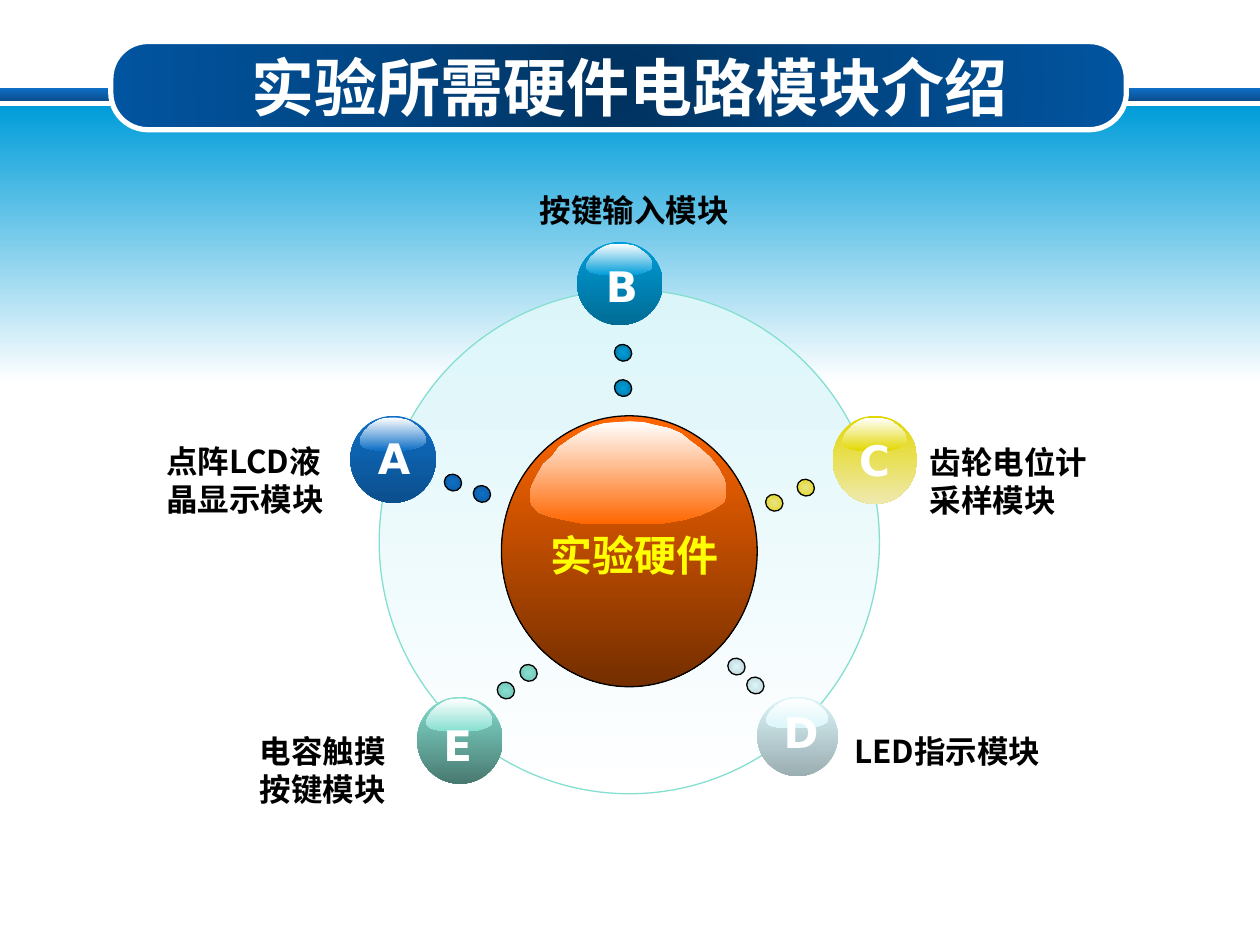
from copy import deepcopy

from lxml import etree
from pptx import Presentation
from pptx import util as u
from pptx.dml.color import RGBColor
from pptx.enum import shapes, text
from pptx.oxml.ns import qn

presentation = Presentation()
presentation.slide_width, presentation.slide_height = u.Inches(10), u.Inches(7.5)
slide = presentation.slides.add_slide(presentation.slide_layouts[6])
cell = presentation.slide_width / 100  # grid of 100 columns by 75 rows
CJK = "Noto Sans CJK JP"


def paint(shape, colours, path=None, line=None, width=0.75):
    """Gradient from top to bottom, or from the centre when a path is given."""
    shape.shadow.inherit = False
    shape.fill.gradient()
    shape.fill.gradient_angle = 270
    gradient = shape._element.spPr.find(qn("a:gradFill"))
    stop_list = gradient.find(qn("a:gsLst"))
    while len(stop_list) < len(colours):
        stop_list.insert(1, deepcopy(stop_list[0]))
    for index, stop in enumerate(shape.fill.gradient_stops):
        stop.color.rgb = RGBColor.from_string(colours[index])
        stop.position = index / (len(colours) - 1)
    if path:
        centre = etree.Element(qn("a:path"), path=path)
        etree.SubElement(centre, qn("a:fillToRect"), dict.fromkeys("ltrb", "50000"))
        gradient.replace(gradient.find(qn("a:lin")), centre)
    if line:
        shape.line.color.rgb = RGBColor.from_string(line)
        shape.line.width = u.Pt(width)
    else:
        shape.line.fill.background()


def add_text(words, at, size=18, font=CJK, colour="000000", align="LEFT", wrap=True,
             anchor="TOP", grow=True):
    box = slide.shapes.add_textbox(*(round(cell * value) for value in at))
    frame = box.text_frame
    frame.word_wrap = wrap
    frame.vertical_anchor = text.MSO_ANCHOR[anchor]
    frame.auto_size = text.MSO_AUTO_SIZE.SHAPE_TO_FIT_TEXT if grow else text.MSO_AUTO_SIZE.NONE
    paragraph = frame.paragraphs[0]
    paragraph.alignment = text.PP_ALIGN[align]
    run = paragraph.add_run()
    run.text = words
    run.font.size, run.font.bold, run.font.name = u.Pt(size), True, font
    run.font.color.rgb = RGBColor.from_string(colour)
    etree.SubElement(run._r.get_or_add_rPr(), qn("a:ea"), typeface=CJK)


# Header bands, title plate and large ring
backdrop = [
    ("RECTANGLE", (0, 7, 100, 1), ["0F6FC6", "0B4F8E"], {}),
    ("RECTANGLE", (0, 8.4, 100, 22), ["009DD9", "FFFFFF"], {}),
    ("ROUNDED_RECTANGLE", (8.8, 3.3, 80.6, 7), ["01325E", "014786", "01549F"],
     {"path": "circle", "line": "FFFFFF", "width": 3}),
    ("OVAL", (30.1, 23, 39.7, 40), ["DBF5F9", "FFFFFF"], {"line": "85DFD0"}),
]
for kind, at, colours, style in backdrop:
    shape = slide.shapes.add_shape(shapes.MSO_SHAPE[kind], *(round(cell * value) for value in at))
    if kind == "ROUNDED_RECTANGLE":
        shape.adjustments[0] = 0.42
    paint(shape, colours, **style)
add_text("实验所需硬件电路模块介绍", (5, 3, 90, 7.7), size=36, font="Calibri", colour="FFFFFF",
         align="CENTER", anchor="MIDDLE", grow=False)

# Glossy spheres: the highlight outline is in percent of its own box
highlight = [
    (99, 57), (100, 68), (99, 78), (94, 85), (87, 91), (78, 96), (68, 99), (60, 100),
    (36, 100), (26, 99), (18, 96), (11, 93), (5, 89), (1, 81), (0, 74), (1, 63), (4, 52),
    (7, 42), (12, 33), (15, 25), (21, 17), (26, 11), (31, 6), (38, 2), (44, 1), (51, 0),
    (58, 1), (64, 4), (71, 7), (77, 12), (82, 20), (87, 27), (92, 36), (96, 46),
]
spheres = [
    ("实验硬件", (39.8, 33, 20.3, 21.5), ["FF6600", "742E00"], "000000", (42.7, 41.5, 15.6, 5.1)),
    ("B", (45.8, 19.2, 6.8, 6.6), ["009DD9", "006C95"], None, (47.1, 20.2, 4.5, 5)),
    ("E", (33.1, 55.3, 6.8, 6.9), ["85DFD0", "487970"], None, (34.2, 56.6, 4.3, 5)),
    ("C", (66.1, 33, 6.7, 7), ["E2D700", "EFE9B0"], None, (67.2, 34, 4.4, 5)),
    ("D", (60.1, 55.3, 6.4, 6.3), ["DBF5F9", "9BAEB1"], None, (61.2, 55.6, 4.8, 5)),
    ("A", (27.8, 33, 6.8, 6.9), ["0F6FC6", "0B4F8D"], None, (29, 33.8, 4.6, 5)),
]
for words, at, colours, line, words_at in spheres:
    left, top, width, height = at
    sphere = slide.shapes.add_shape(shapes.MSO_SHAPE.OVAL, *(round(cell * value) for value in at))
    paint(sphere, colours, line=line)
    points = [(round(cell * (left + width * (0.11 + 0.77 * x / 100))),
               round(cell * (top + height * (0.02 + 0.38 * y / 100)))) for x, y in highlight]
    builder = slide.shapes.build_freeform(*points[0])
    builder.add_line_segments(points[1:], close=True)
    paint(builder.convert_to_shape(), ["FFFFFF", colours[0]])
    is_letter = len(words) == 1
    add_text(words, words_at, size=24, font="DejaVu Sans" if is_letter else "Calibri",
             colour="FFFFFF" if is_letter else "FFFF00", wrap=False)

# Pairs of dots between the centre and each sphere
dots = [
    (["85DFD0", "70BBAE"], [(39.5, 54.1), (41.3, 52.7)]),
    (["DBF5F9", "B8CDD1"], [(59.3, 53.7), (57.8, 52.2)]),
    (["0F6FC6", "0C579C"], [(35.3, 37.6), (37.6, 38.5)]),
    (["009DD9", "006F9A"], [(48.8, 27.3), (48.8, 30.1)]),
    (["E9E28A", "E2D700"], [(63.3, 38), (60.8, 39.2)]),
]
for colours, places in dots:
    for left, top in places:
        dot = slide.shapes.add_shape(shapes.MSO_SHAPE.OVAL, *(
            round(cell * value) for value in (left, top, 1.3, 1.4)))
        dot.rotation = 303.8
        paint(dot, colours, path="shape", line="000000")

# Module labels
labels = [
    ("点阵LCD液晶显示模块", (12.2, 34.6, 15.6, 7.1), "LEFT"),
    ("按键输入模块", (34.1, 14.7, 32.5, 4), "CENTER"),
    ("齿轮电位计采样模块", (72.8, 34.7, 15, 7.1), "LEFT"),
    ("电容触摸按键模块", (18.5, 57.6, 13.1, 7.1), "RIGHT"),
    ("LED指示模块", (66.8, 57.6, 18.8, 4), "LEFT"),
]
for words, at, align in labels:
    add_text(words, at, align=align)

presentation.save("out.pptx")
